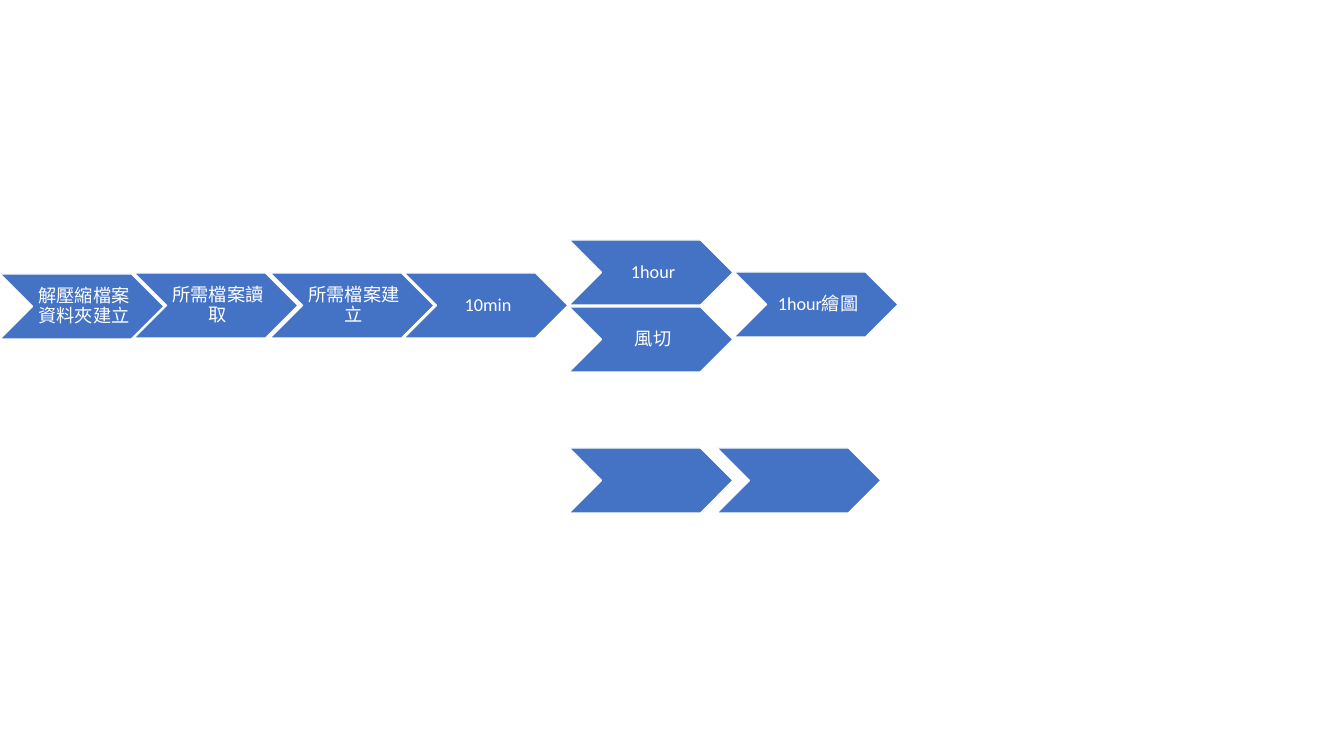
"""Builds a slide with a chevron process flow and two spare steps."""
from lxml import etree
from pptx import Presentation, util as u
from pptx.dml.color import RGBColor
from pptx.enum import shapes, text
from pptx.oxml.ns import qn

HAN, LATIN = "Noto Sans CJK SC", "Calibri"
HUES = {"step": "4472C4", "edge": "FFFFFF", "word": "FFFFFF"}
STEPS = [
    (0, 274, "解壓縮檔案 資料夾建立", HAN),
    (134, 273, "所需檔案讀取", HAN),
    (270, 273, "所需檔案建立", HAN),
    (404, 273, "10min", LATIN),
    (569, 240, "1hour", LATIN),
    (569, 307, "風切", LATIN),
    (734, 272, "1hour繪圖", LATIN),
    (569, 448, "", LATIN),
    (717, 448, "", LATIN),
]
WIDE, HIGH = 164, 65
PADS = {"left": 6, "top": 2, "right": 2, "bottom": 2}


def px(n):
    return u.Emu(round(n * 914400 / 100.8))


def hue(name):
    return RGBColor.from_string(HUES[name])


def label(shape, words, face):
    frame = shape.text_frame
    frame.word_wrap = True
    frame.vertical_anchor = text.MSO_ANCHOR.MIDDLE
    for side, pad in PADS.items():
        setattr(frame, "margin_" + side, px(pad))
    para = frame.paragraphs[0]
    para.alignment = text.PP_ALIGN.CENTER
    para.line_spacing = 0.9
    run = para.add_run()
    run.text = words
    run.font.size = u.Pt(13)
    run.font.name = face
    run.font.color.rgb = hue("word")
    east = etree.Element(qn("a:ea"), typeface=HAN)
    run.font._element.find(qn("a:latin")).addnext(east)


def step(slide, left, top, words, face):
    shape = slide.shapes.add_shape(
        shapes.MSO_SHAPE.CHEVRON, px(left), px(top), px(WIDE), px(HIGH))
    shape.shadow.inherit = False
    shape.fill.solid()
    shape.fill.fore_color.rgb = hue("step")
    shape.line.color.rgb = hue("edge")
    shape.line.width = u.Pt(1)
    if words:
        label(shape, words, face)


deck = Presentation()
deck.slide_width, deck.slide_height = px(1344), px(756)
slide = deck.slides.add_slide(deck.slide_layouts[6])
for item in STEPS:
    step(slide, *item)
deck.save("out.pptx")
